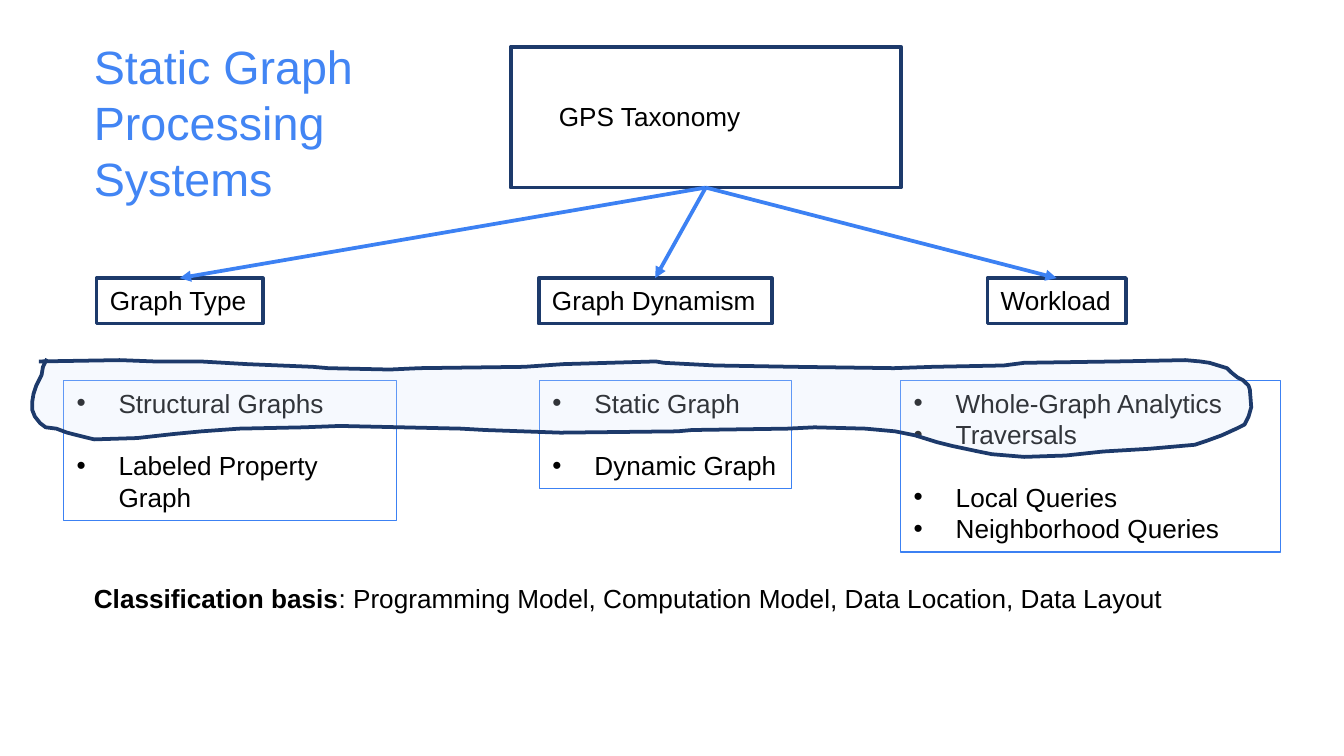
from lxml import etree
from pptx import Presentation
from pptx.dml.color import RGBColor
from pptx.enum.shapes import MSO_CONNECTOR, MSO_SHAPE
from pptx.enum.text import MSO_ANCHOR, PP_ALIGN
from pptx.oxml.ns import qn
from pptx.util import Pt

NAVY, BLUE, TITLE_BLUE, PALE, BLACK = "1D3A6B", "3C81F3", "4285F4", "D9E7FD", "000000"


def color(value):
    return RGBColor.from_string(value)


def write(frame, paragraphs, bulleted=False, wrap=False, size=14, ink=BLACK):
    """Fill a frame with paragraphs given as (text, space before); text may be a list of (run, bold)."""
    settings = dict(word_wrap=wrap, vertical_anchor=MSO_ANCHOR.TOP, margin_left=Pt(7.2),
                    margin_right=Pt(7.2), margin_top=Pt(3.6), margin_bottom=Pt(3.6))
    for name, value in settings.items():
        setattr(frame, name, value)
    for i, (text, before) in enumerate(paragraphs):
        paragraph = frame.add_paragraph() if i else frame.paragraphs[0]
        paragraph.alignment = PP_ALIGN.LEFT
        if before:
            paragraph.space_before = Pt(before)
        if bulleted:
            properties = paragraph._p.get_or_add_pPr()
            properties.set("marL", str(Pt(22.5)))
            properties.set("indent", str(-Pt(22.5)))
            etree.SubElement(properties, qn("a:buFont"), typeface="Arial")
            etree.SubElement(properties, qn("a:buChar"), char="•")
        for words, bold in [(text, False)] if isinstance(text, str) else text:
            run = paragraph.add_run()
            run.text = words
            run.font.name, run.font.size, run.font.bold = "Arial", Pt(size), bold
            run.font.color.rgb = color(ink)


presentation = Presentation()
presentation.slide_width, presentation.slide_height = Pt(720), Pt(405)
slide = presentation.slides.add_slide(presentation.slide_layouts[6])
shapes = slide.shapes

# Taxonomy root and its three branches
boxes = []
for label, left, top, width, height in [
    ("", 273.6, 25, 209, 75.5),
    ("Graph Type", 51.8, 149, 89, 24.4),
    ("Graph Dynamism", 288.6, 149, 124.8, 24.4),
    ("Workload", 529, 149, 74.2, 24.4),
]:
    box = shapes.add_shape(MSO_SHAPE.RECTANGLE, Pt(left), Pt(top), Pt(width), Pt(height))
    box.shadow.inherit = False
    box.fill.background()
    box.line.color.rgb = color(NAVY)
    box.line.width = Pt(2)
    if label:
        write(box.text_frame, [(label, 0)])
    boxes.append(box)

root, *branches = boxes
for branch in branches:
    arrow = shapes.add_connector(MSO_CONNECTOR.STRAIGHT, 0, 0, 0, 0)
    arrow.begin_connect(root, 2)
    arrow.end_connect(branch, 0)
    arrow.line.color.rgb = color(BLUE)
    arrow.line.width = Pt(2)
    etree.SubElement(arrow.line._get_or_add_ln(), qn("a:tailEnd"), type="triangle")
    etree.SubElement(arrow._element.spPr, qn("a:effectLst"))

# Classes under each branch; a gap of one line parts the highlighted classes from the rest
GAP = 16.8
for left, width, height, wrap, classes in [
    (33.9, 178.5, 75, True, [("Structural Graphs", 0), ("Labeled Property Graph", GAP)]),
    (482.4, 203.6, 92, True, [("Whole-Graph Analytics", 0), ("Traversals", 0),
                              ("Local Queries", GAP), ("Neighborhood Queries", 0)]),
    (288.9, 135.2, 58, False, [("Static Graph", 0), ("Dynamic Graph", GAP)]),
]:
    class_list = shapes.add_shape(MSO_SHAPE.RECTANGLE, Pt(left), Pt(203.8), Pt(width), Pt(height))
    class_list.shadow.inherit = False
    class_list.fill.background()
    class_list.line.color.rgb = color(BLUE)
    class_list.line.width = Pt(0.75)
    write(class_list.text_frame, classes, bulleted=True, wrap=wrap)

# Hand-drawn highlight, in hundredths of an inch
outline = [
    (35, 267), (32, 273), (31, 279), (27, 287), (25, 293), (24, 299), (24, 305), (26, 310),
    (30, 315), (34, 318), (42, 319), (50, 322), (58, 324), (70, 327), (102, 326), (129, 323),
    (150, 321), (178, 319), (226, 318), (253, 317), (343, 319), (361, 320), (417, 322),
    (504, 321), (515, 320), (586, 319), (606, 318), (644, 319), (666, 321), (681, 324),
    (697, 329), (709, 332), (728, 336), (738, 338), (762, 340), (793, 339), (821, 336),
    (855, 334), (889, 331), (898, 328), (909, 324), (920, 319), (926, 316), (929, 310),
    (931, 303), (930, 290), (929, 287), (925, 283), (921, 281), (916, 277), (913, 274),
    (900, 270), (893, 269), (882, 268), (831, 269), (762, 270), (747, 272), (694, 273),
    (665, 274), (592, 273), (532, 272), (494, 270), (488, 269), (419, 271), (390, 273),
    (312, 274), (290, 275), (244, 274), (233, 273), (184, 271), (149, 269), (115, 269),
    (89, 268), (29, 269),
]
builder = shapes.build_freeform(*outline[0], scale=Pt(0.72))
builder.add_line_segments(outline[1:], close=False)
highlight = builder.convert_to_shape()
highlight.shadow.inherit = False
highlight.fill.solid()
highlight.fill.fore_color.rgb = color(PALE)
fill_color = highlight._element.spPr.find(qn("a:solidFill"))[0]
etree.SubElement(fill_color, qn("a:alpha"), val="23000")
highlight.line.color.rgb = color(NAVY)
highlight.line.width = Pt(2)

# Free-standing texts
basis = [("Classification basis", True),
         (": Programming Model, Computation Model, Data Location, Data Layout", False)]
for left, top, width, height, text, style in [
    (292.3, 50.4, 118, 24.4, "GPS Taxonomy", {}),
    (43.2, 308.2, 597, 24.4, basis, {}),
    (43.2, 16.6, 176.4, 98, "Static Graph Processing Systems",
     {"size": 25, "ink": TITLE_BLUE, "wrap": True}),
]:
    caption = shapes.add_textbox(Pt(left), Pt(top), Pt(width), Pt(height))
    write(caption.text_frame, [(text, 0)], **style)

presentation.save("out.pptx")
